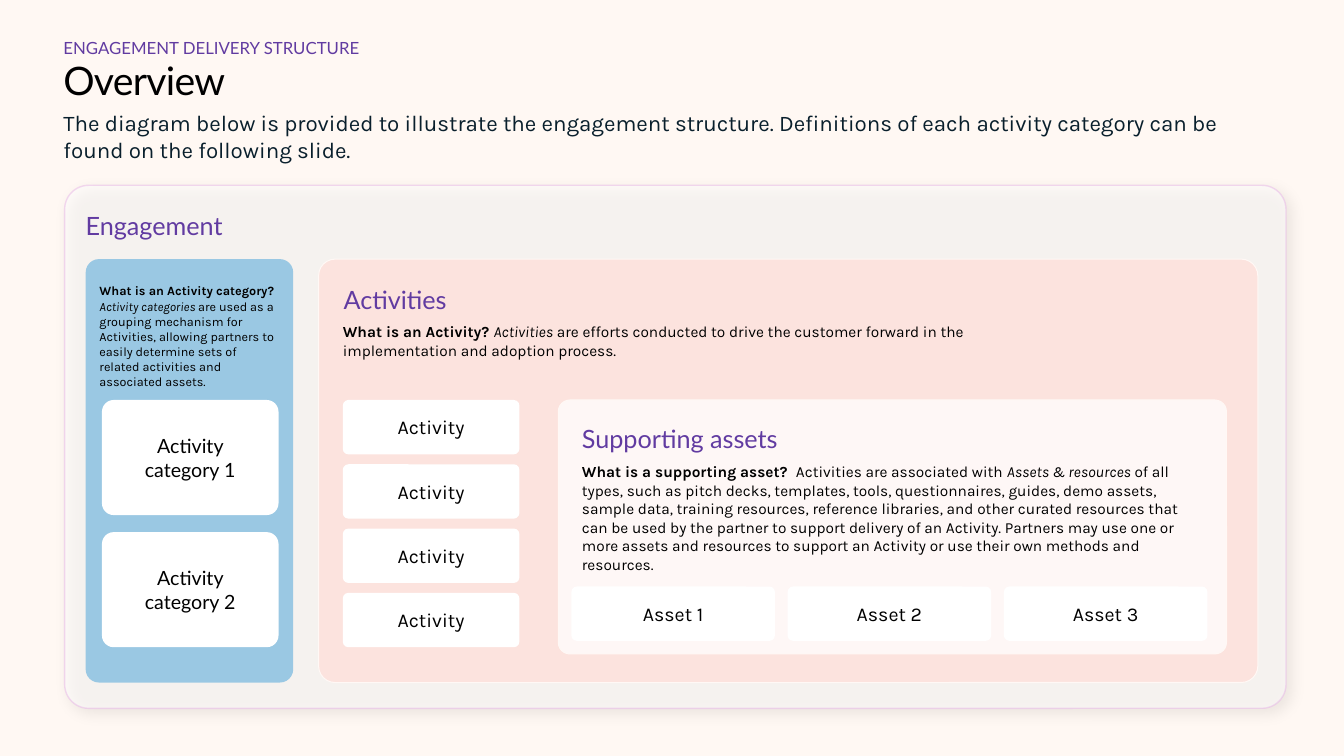
from lxml import etree
from pptx import Presentation
from pptx.dml.color import RGBColor
from pptx.enum.shapes import MSO_SHAPE
from pptx.enum.text import MSO_ANCHOR, PP_ALIGN
from pptx.oxml.ns import qn
from pptx.util import Cm, Pt

ROUNDED = MSO_SHAPE.ROUNDED_RECTANGLE
TOP, MIDDLE = MSO_ANCHOR.TOP, MSO_ANCHOR.MIDDLE
LEFT, CENTER = PP_ALIGN.LEFT, PP_ALIGN.CENTER

HEADING, BODY = "Lato", "Karla"
CREAM, WHITE, BLACK = "FFF8F3", "FFFFFF", "000000"
PURPLE, NAVY = "613BA1", "091F2C"
PINK, BLUE, EDGE, LILAC = "FFDED7", "41A0D8", "FFF8F5", "E6B1E7"


def rgb(color):
    return RGBColor.from_string(color)


def set_alpha(fill_parent, percent):
    color = fill_parent.find(qn("a:solidFill"))[0]
    etree.SubElement(color, qn("a:alpha"), val=str(percent * 1000))


def set_frame(tf, insets, anchor=TOP):
    tf.word_wrap = True
    tf.vertical_anchor = anchor
    tf.margin_left, tf.margin_top, tf.margin_right, tf.margin_bottom = map(Cm, insets)


def add_run(p, text, size, font, color, style="", spacing=0):
    r = p.add_run()
    r.text = text
    r.font.size = Pt(size)
    r.font.name = font
    r.font.color.rgb = rgb(color)
    r.font.bold = style == "b"
    r.font.italic = style == "i"
    if spacing:
        r.font._element.set("spc", str(spacing))


def add_runs(p, runs, size):
    for text, style in runs:
        add_run(p, text, size, BODY, BLACK, style)


def add_text(slide, box, insets=(0, 0, 0, 0)):
    tf = slide.shapes.add_textbox(*map(Cm, box)).text_frame
    set_frame(tf, insets)
    return tf.paragraphs[0]


def add_panel(slide, box, radius, fill, opacity=100, line=None, width=0.75):
    sp = slide.shapes.add_shape(ROUNDED, *map(Cm, box))
    sp.adjustments[0] = radius
    sp.shadow.inherit = False
    sp.fill.solid()
    sp.fill.fore_color.rgb = rgb(fill)
    if opacity < 100:
        set_alpha(sp._element.spPr, opacity)
    if line:
        sp.line.color.rgb = rgb(line)
        sp.line.width = Pt(width)
    else:
        sp.line.fill.background()
    set_frame(sp.text_frame, (0.51, 0.51, 0.51, 0.51))
    sp.text_frame.paragraphs[0].alignment = LEFT
    return sp


def add_soft_shadow(sp):
    effects = sp._element.spPr.find(qn("a:effectLst"))
    shadow = etree.SubElement(effects, qn("a:outerShdw"), blurRad=str(Pt(10)),
                              dist=str(Pt(5)), dir=str(45 * 60000),
                              algn="tl", rotWithShape="0")
    color = etree.SubElement(shadow, qn("a:srgbClr"), val=BLACK)
    etree.SubElement(color, qn("a:alpha"), val="14000")


def add_card(slide, box, label, font, inset_y=0):
    tf = add_panel(slide, box, 0.102, WHITE).text_frame
    set_frame(tf, (0.51, inset_y, 0.51, inset_y), MIDDLE)
    p = tf.paragraphs[0]
    p.alignment = CENTER
    add_run(p, label, 14, font, BLACK)


def add_header(slide):
    p = add_text(slide, (1.6, 1.42, 30.61, 1.19))
    add_run(p, "Overview", 28, HEADING, BLACK, spacing=-50)
    p = add_text(slide, (1.6, 0.94, 30.61, 0.51))
    add_run(p, "ENGAGEMENT DELIVERY STRUCTURE", 12, HEADING, PURPLE)
    p = add_text(slide, (1.6, 2.62, 30.61, 0.89), (0, 0.13, 0, 0))
    add_run(p, "The diagram below is provided to illustrate the engagement structure. "
               "Definitions of each activity category can be found on the following slide.",
            16, BODY, NAVY)


def add_engagement(slide):
    sp = add_panel(slide, (1.63, 4.67, 30.78, 13.18), 0.046, WHITE, 50, LILAC, 1)
    set_alpha(sp.line._ln, 46)
    add_soft_shadow(sp)
    p = add_text(slide, (2.16, 5.16, 20.32, 1.02), (0, 0.13, 0.25, 0.13))
    add_run(p, "Engagement", 18, HEADING, PURPLE)


def add_categories(slide):
    tf = add_panel(slide, (2.16, 6.53, 5.23, 10.67), 0.064, BLUE, 50).text_frame
    set_frame(tf, (0.25, 0.51, 0.25, 0))
    add_runs(tf.paragraphs[0], [
        ("What is an Activity category? ", "b"),
        ("Activity categories ", "i"),
        ("are used as a grouping mechanism for Activities, allowing partners to easily "
         "determine sets of related activities and associated assets.", ""),
    ], 9)
    for i in range(2):
        add_card(slide, (2.57, 10.08 + i * 3.33, 4.45, 2.9),
                 f"Activity category {i + 1}", HEADING, 0.41)


def add_activities(slide):
    sp = add_panel(slide, (8.03, 6.53, 23.67, 10.67), 0.039, PINK, 70, EDGE)
    add_run(sp.text_frame.paragraphs[0], "Activities", 18, HEADING, PURPLE)
    p = add_text(slide, (8.64, 8, 16.79, 1.19), (0, 0.13, 0.25, 0.13))
    add_runs(p, [
        ("What is an Activity? ", "b"),
        ("Activities", "i"),
        (" are efforts conducted to drive the customer forward in the implementation "
         "and adoption process.", ""),
    ], 11)
    for i in range(4):
        add_card(slide, (8.64, 10.08 + i * 1.62, 4.45, 1.37), "Activity", BODY)


def add_assets(slide):
    tf = add_panel(slide, (14.07, 10.08, 16.84, 6.4), 0.046, WHITE, 75, EDGE).text_frame
    add_run(tf.paragraphs[0], "Supporting assets", 18, HEADING, PURPLE)
    p = tf.add_paragraph()
    p.alignment = LEFT
    p.space_before = Pt(6)
    add_runs(p, [
        ("What is a supporting asset?  ", "b"),
        ("Activities are associated with ", ""),
        ("Assets & resources ", "i"),
        ("of all types, such as pitch decks, templates, tools, questionnaires, guides, "
         "demo assets, sample data, training resources, reference libraries, and other "
         "curated resources that can be used by the partner to support delivery of an "
         "Activity. Partners may use one or more assets and resources to support an "
         "Activity or use their own methods and resources.", ""),
    ], 11)
    for i in range(3):
        add_card(slide, (14.4 + i * 5.45, 14.78, 5.13, 1.37), f"Asset {i + 1}", BODY)


def main():
    prs = Presentation()
    prs.slide_width, prs.slide_height = Cm(33.87), Cm(19.05)
    slide = prs.slides.add_slide(prs.slide_layouts[6])
    slide.background.fill.solid()
    slide.background.fill.fore_color.rgb = rgb(CREAM)
    add_header(slide)
    add_engagement(slide)
    add_categories(slide)
    add_activities(slide)
    add_assets(slide)
    prs.save("out.pptx")


if __name__ == "__main__":
    main()
